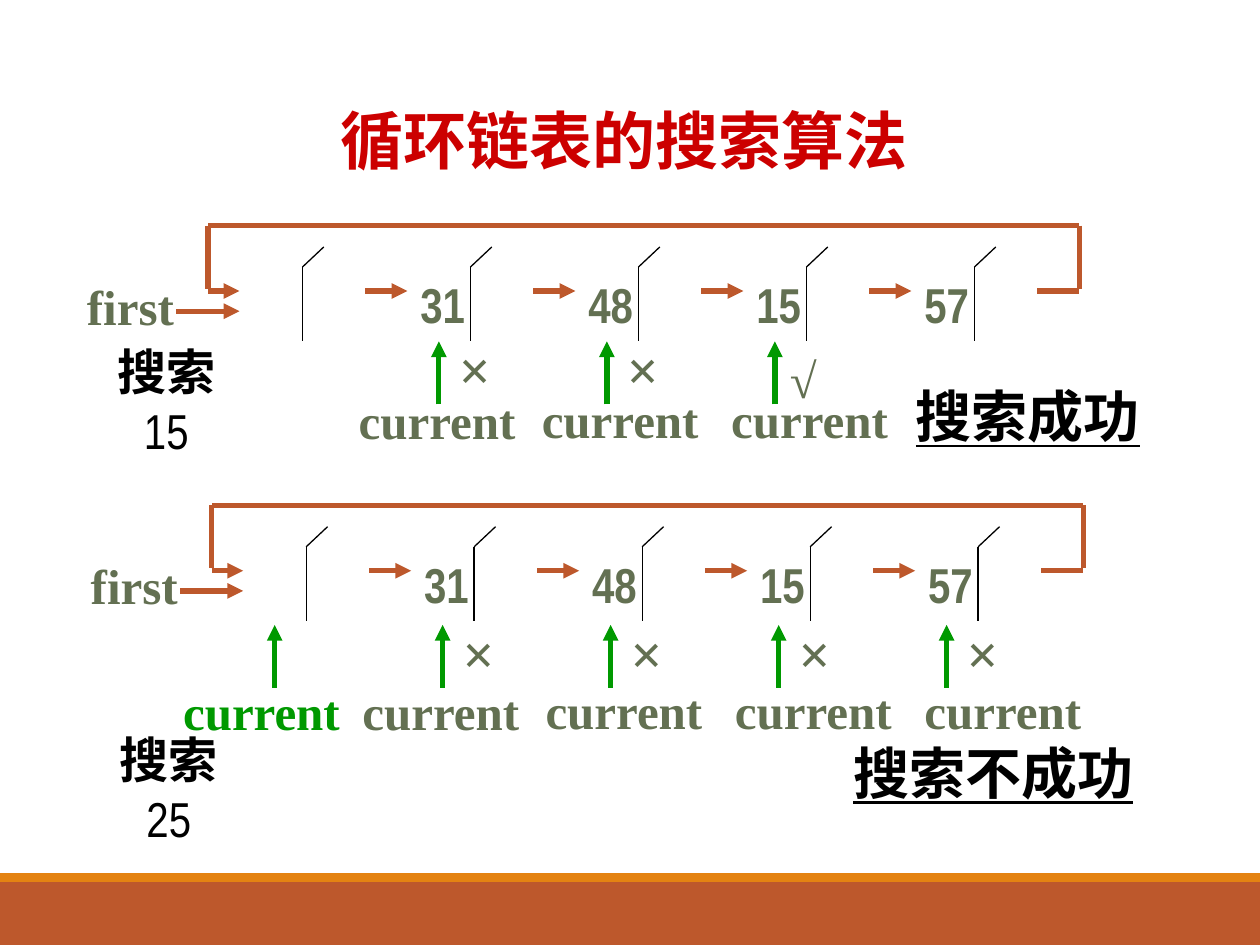
from lxml.etree import SubElement
from pptx import Presentation
from pptx.dml.color import RGBColor
from pptx.enum.shapes import MSO_CONNECTOR as Connector, MSO_SHAPE as Shape
from pptx.enum.text import MSO_ANCHOR as Anchor, PP_ALIGN as Align
from pptx.oxml.ns import qn
from pptx.util import Inches, Pt

WIDTH, HEIGHT = 10, 7.5
COLUMN = WIDTH * 2 / 15  # distance from one list node to the next
COLORS = {
    "link": "BD582C", "stripe": "E48312", "title": "CC0000", "ink": "000000",
    "label": "637052", "pointer": "009900",
}
SERIF, NARROW = "Times New Roman", "Arial Narrow"
VALUES = ["31", "48", "15", "57"]
LABEL_SHIFTS = [-0.58, -0.49, -0.37, -0.2, -0.03]  # "current" relative to its node


def rgb(name):
    return RGBColor.from_string(COLORS[name])


def add_band(page, top, height, color):
    band = page.shapes.add_shape(
        Shape.RECTANGLE, 0, Inches(top), Inches(WIDTH), Inches(height))
    band.shadow.inherit = False
    band.fill.solid()
    band.fill.fore_color.rgb = rgb(color)
    band.line.fill.background()


def add_line(page, start, end, color="link", weight=3, arrow=False):
    line = page.shapes.add_connector(
        Connector.STRAIGHT, *(Inches(length) for length in (*start, *end)))
    line.line.color.rgb = rgb(color)
    line.line.width = Pt(weight)
    if arrow:
        SubElement(line.line._get_or_add_ln(), qn("a:tailEnd"), type="triangle")
    SubElement(line._element.spPr, qn("a:effectLst"))


def add_text(page, area, spans, size=28, font=SERIF, color="label",
             align=Align.CENTER, anchor=Anchor.MIDDLE, inset=(0.1, 0.05),
             wrap=False, underline=None):
    """Add one paragraph; spans are (words, bold) pairs."""
    box = page.shapes.add_textbox(*(Inches(length) for length in area))
    frame = box.text_frame
    frame.word_wrap = wrap
    frame.vertical_anchor = anchor
    frame.margin_left = frame.margin_right = Inches(inset[0])
    frame.margin_top = frame.margin_bottom = Inches(inset[1])
    para = frame.paragraphs[0]
    para.alignment = align
    para.font.size = Pt(size)
    para.font.name = font
    para.font.color.rgb = rgb(color)
    para.font.underline = underline
    for words, bold in spans:
        span = para.add_run()
        span.text = words
        span.font.bold = bold


def add_heading(page, area, words, **style):
    add_text(page, area, [(words, True)], align=Align.LEFT, anchor=Anchor.TOP,
             inset=(0.12, 0.06), **style)


def add_target(page, left, top, number):
    """Add the searched number, which wraps below its caption."""
    add_text(page, (left, top, 1.34, 0.57), [("搜索", True), (number, False)],
             font=NARROW, color="ink", inset=(0.15, 0.05), wrap=True)


def add_list(page, left, top):
    """Add a circular list; left is the head node, top the returning link."""
    link_y = top + 0.52
    loop_left, loop_right = left - 0.25, left + 5 * COLUMN
    for index in range(5):
        node = left + index * COLUMN
        corner = (node + 0.5, top + 0.33)
        add_line(page, corner, (node + 0.5, top + 0.92), "ink", 0.75)
        add_line(page, corner, (node + 0.67, top + 0.17), "ink", 0.75)
        link_end = left + (index + 1) * COLUMN
        add_line(page, (node + 1, link_y), (link_end, link_y), arrow=index < 4)
    add_line(page, (loop_left, link_y), (left, link_y), arrow=True)
    add_line(page, (left - 0.5, top + 0.68), (left, top + 0.68), arrow=True)
    add_line(page, (loop_right, top), (loop_left, top))
    for x in (loop_left, loop_right):
        add_line(page, (x, top), (x, top + 0.5))
    add_text(page, (left - 1.31, top + 0.35, 0.89, 0.57), [("first", True)])
    for index, value in enumerate(VALUES, 1):
        add_text(page, (left + index * COLUMN, top + 0.34, 0.56, 0.57),
                 [(value, True)], font=NARROW)


def add_pointers(page, left, arrow_top, label_top, marks):
    """Add the current pointer and its mark at each visited node index."""
    for index, mark in marks.items():
        node = left + index * COLUMN
        x = node + 0.25
        add_line(page, (x, arrow_top + 0.5), (x, arrow_top), "pointer", arrow=True)
        if mark == "×":
            add_text(page, (node + 0.31, arrow_top - 0.1, 0.45, 0.63),
                     [(mark, True)], size=32)
        elif mark:
            add_text(page, (node + 0.27, arrow_top + 0.01, 0.41, 0.57), [(mark, True)])
        drop = 0.01 if index < 2 else 0
        add_text(page, (node + LABEL_SHIFTS[index], label_top + drop, 1.45, 0.57),
                 [("current", True)], color="label" if mark else "pointer")


def main():
    deck = Presentation()
    deck.slide_width, deck.slide_height = Inches(WIDTH), Inches(HEIGHT)
    page = deck.slides.add_slide(deck.slide_layouts[6])
    add_band(page, 7, 0.5, "link")
    add_band(page, 6.93, 0.07, "stripe")
    add_heading(page, (2.58, 0.75, 4.85, 0.73), "循环链表的搜索算法",
                size=36, color="title", wrap=True)

    add_list(page, 1.9, 1.79)
    add_pointers(page, 1.9, 2.71, 3.04, {1: "×", 2: "×", 3: "√"})
    add_target(page, 0.65, 2.89, "15")
    add_heading(page, (7.15, 2.97, 2.03, 0.66), "搜索成功",
                size=32, color="ink", underline=True)

    add_list(page, 1.93, 4.01)
    add_pointers(page, 1.93, 4.96, 5.35, {1: "×", 2: "×", 3: "×", 4: "×", 0: ""})
    add_target(page, 0.67, 5.97, "25")
    add_heading(page, (6.65, 5.8, 2.48, 0.66), "搜索不成功",
                size=32, color="ink", underline=True)
    deck.save("out.pptx")


if __name__ == "__main__":
    main()
